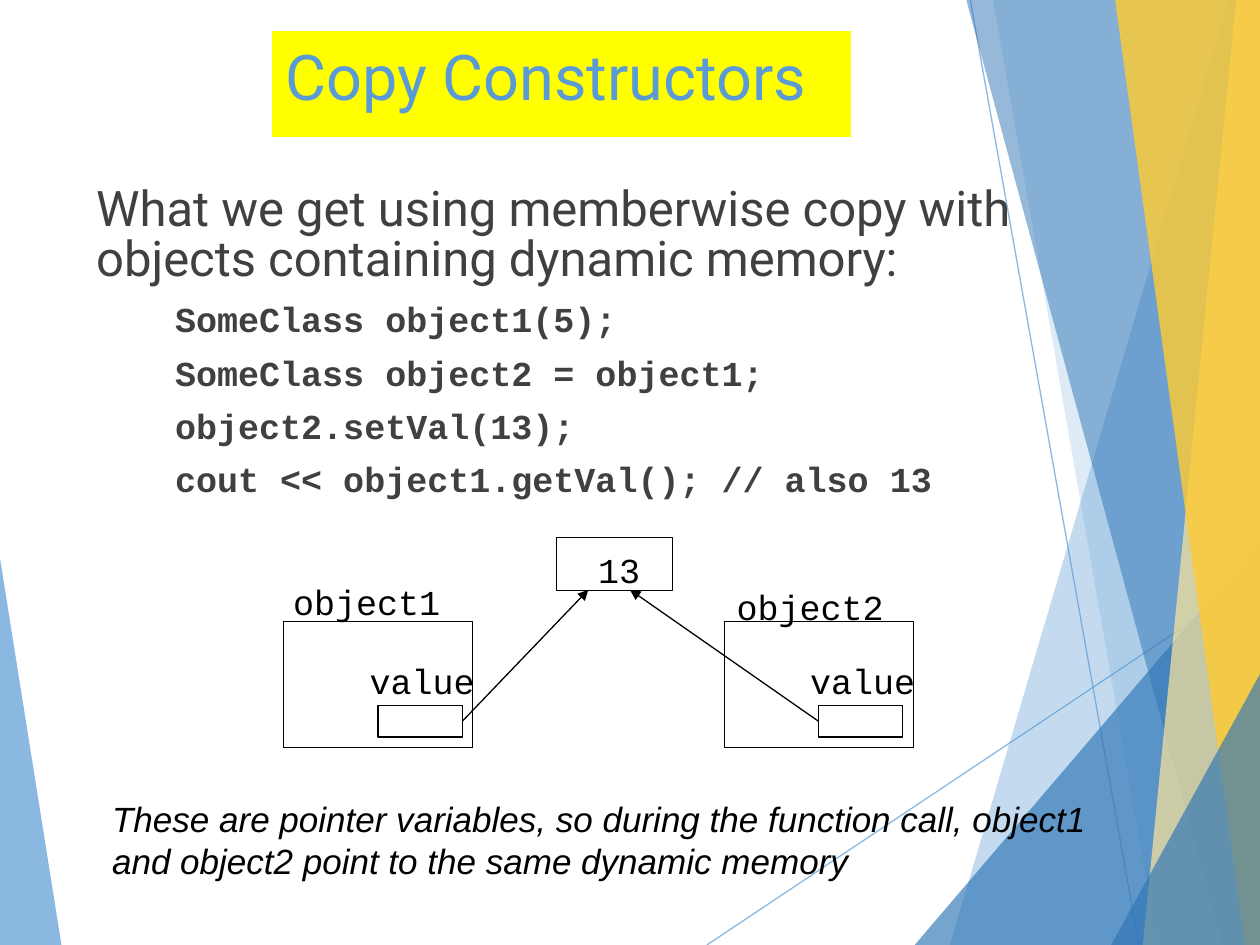
from lxml.etree import SubElement
from pptx import Presentation
from pptx.dml.color import RGBColor
from pptx.enum.shapes import MSO_CONNECTOR, MSO_SHAPE
from pptx.enum.text import MSO_ANCHOR, PP_ALIGN
from pptx.oxml.ns import qn
from pptx.util import Cm, Pt

WIDTH, HEIGHT = 25.4, 19.05
COLORS = {
    "sky": "5B9BD5", "blue": "2E75B6", "cream": "FEE599", "gold": "FDCB34",
    "yellow": "FFFF00", "body": "404040", "black": "000000",
}

TITLE = "Copy Constructors"
INTRO = "What we get using memberwise copy with objects containing dynamic memory:"
CODE = [
    "SomeClass object1(5);",
    "SomeClass object2 = object1;",
    "object2.setVal(13);",
    "cout << object1.getVal(); // also 13",
]
SHARED_VALUE = "13"
MEMBER = "value"
NOTE = ("These are pointer variables, so during the function call, "
        "object1 and object2 point to the same dynamic memory")

# name, box left, label left, label top, pointer side, arrow tip
OBJECTS = [
    ("object1", 5.72, 5.66, 11.58, 3, (11.86, 11.89)),
    ("object2", 14.6, 14.6, 11.68, 1, (12.7, 11.89)),
]

# edge x, top x, top y, bottom x, colour, opacity
LEFT_PANEL = (0, 0, 11.25, 1.24, "sky", 70)
RAYS = [((14.25, 19.05), (25.4, 11.61)), ((19.56, 0), (22.96, 19.05))]
RIGHT_PANELS = [
    (WIDTH, 24.77, 0, 19.15, "sky", 36),
    (WIDTH, 20.02, 0, 23.34, "sky", 20),
    (WIDTH, WIDTH, 10.9, 18.44, "blue", 66),
    (WIDTH, 19.48, 0, 24.64, "blue", 50),
    (WIDTH, 24.92, 0, 23.04, "cream", 70),
    (WIDTH, 22.48, 0, 25.1, "gold", 82),
    (WIDTH, WIDTH, 13.59, 22.4, "blue", 66),
]


def rgb(name):
    return RGBColor.from_string(COLORS[name])


def set_opacity(fill_owner, percent):
    color = fill_owner.find(".//" + qn("a:srgbClr"))
    SubElement(color, qn("a:alpha"), val=str(percent * 1000))


def add_panel(shapes, edge, top_x, top_y, bottom_x, color, opacity):
    builder = shapes.build_freeform(Cm(top_x), Cm(top_y))
    corners = [(bottom_x, HEIGHT), (edge, HEIGHT), (edge, top_y)]
    builder.add_line_segments([(Cm(x), Cm(y)) for x, y in corners])
    panel = builder.convert_to_shape()
    panel.shadow.inherit = False
    panel.fill.solid()
    panel.fill.fore_color.rgb = rgb(color)
    set_opacity(panel.fill._xPr, opacity)
    panel.line.fill.background()


def add_line(shapes, start, end, color):
    line = shapes.add_connector(
        MSO_CONNECTOR.STRAIGHT, *(Cm(v) for v in (*start, *end)))
    line.line.color.rgb = rgb(color)
    line.line.width = Pt(0.75)
    SubElement(line._element.spPr, qn("a:effectLst"))
    return line


def add_box(shapes, left, top, width, height, line="black", fill=None):
    box = shapes.add_shape(
        MSO_SHAPE.RECTANGLE, Cm(left), Cm(top), Cm(width), Cm(height))
    box.shadow.inherit = False
    if fill:
        box.fill.solid()
        box.fill.fore_color.rgb = rgb(fill)
    else:
        box.fill.background()
    box.line.color.rgb = rgb(line)
    box.line.width = Pt(0.75)
    return box


def style(paragraph, size, face, color, bold=False, italic=False):
    font = paragraph.font
    font.size, font.name = Pt(size), face
    font.bold, font.italic = bold, italic
    font.color.rgb = rgb(color)


def add_text(shapes, left, top, width, height, text, wrap=True):
    frame = shapes.add_textbox(
        Cm(left), Cm(top), Cm(width), Cm(height)).text_frame
    frame.word_wrap = wrap
    frame.text = text
    return frame


def add_label(shapes, left, top, width, text):
    frame = add_text(shapes, left, top, width, 1.09, text, wrap=False)
    style(frame.paragraphs[0], 20, "Courier New", "black")


def add_backdrop(shapes):
    add_panel(shapes, *LEFT_PANEL)
    for start, end in RAYS:
        ray = add_line(shapes, start, end, "sky")
        set_opacity(ray._element.spPr, 70)
    for panel in RIGHT_PANELS:
        add_panel(shapes, *panel)


def add_body(shapes):
    frame = add_text(shapes, 0.74, 3.64, 23.29, 11.43, "\n".join([INTRO, *CODE]))
    for number, paragraph in enumerate(frame.paragraphs):
        paragraph.line_spacing = 0.85
        paragraph.space_before = Pt(10)
        is_code = number > 0
        paragraph._p.get_or_add_pPr().set("marL", str(Cm(2.54 if is_code else 0.95)))
        if is_code:
            style(paragraph, 20, "Courier New", "body", bold=True)
        else:
            style(paragraph, 28, "Roboto", "body")


def add_diagram(shapes):
    add_box(shapes, 11.22, 10.84, 2.34, 1.07)
    add_label(shapes, 11.81, 10.93, 1.45, SHARED_VALUE)
    for name, left, label_left, label_top, side, tip in OBJECTS:
        add_box(shapes, left, 12.53, 3.81, 2.54)
        pointer = add_box(shapes, left + 1.9, 14.22, 1.7, 0.64)
        add_label(shapes, label_left, label_top, 3.55, name)
        add_label(shapes, left + 1.48, 13.17, 2.75, MEMBER)
        arrow = add_line(shapes, tip, tip, "black")
        arrow.begin_connect(pointer, side)
        SubElement(arrow.line._get_or_add_ln(), qn("a:tailEnd"), type="triangle")


def add_title(shapes):
    box = add_box(shapes, 5.5, 0.64, 11.64, 2.11, "yellow", "yellow")
    frame = box.text_frame
    frame.vertical_anchor = MSO_ANCHOR.TOP
    frame.text = TITLE
    heading = frame.paragraphs[0]
    heading.alignment = PP_ALIGN.LEFT
    style(heading, 36, "Roboto", "sky")


def main():
    presentation = Presentation()
    presentation.slide_width, presentation.slide_height = Cm(WIDTH), Cm(HEIGHT)
    shapes = presentation.slides.add_slide(presentation.slide_layouts[6]).shapes
    add_backdrop(shapes)
    add_body(shapes)
    add_diagram(shapes)
    add_title(shapes)
    note = add_text(shapes, 2.01, 15.96, 20.75, 1.96, NOTE)
    style(note.paragraphs[0], 20, "Arial", "black", italic=True)
    presentation.save("out.pptx")


if __name__ == "__main__":
    main()
